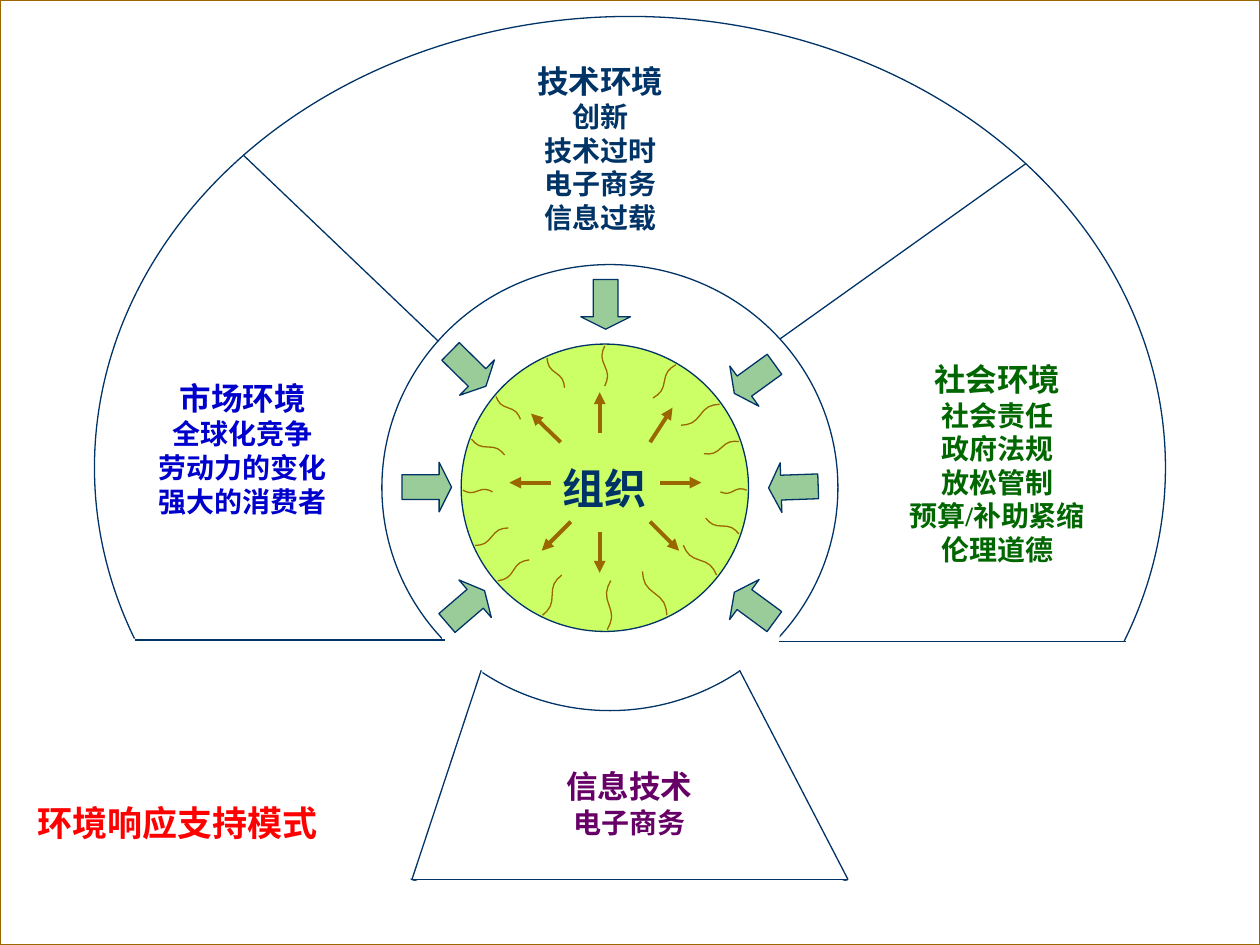
import math

from lxml import etree
from pptx import Presentation
from pptx.dml.color import RGBColor
from pptx.enum import shapes, text
from pptx.oxml.ns import qn
from pptx.util import Pt

THEME = {
    "font": "Times New Roman",
    "navy": "003366", "brown": "996600", "white": "FFFFFF",
    "lime": "CCFF66", "sage": "99CC99",
    "blue": "0000CC", "green": "006600", "purple": "660066", "red": "FF0000",
    "core": 24, "title": 20, "heading": 18, "item": 16,
    "thin": 0.75, "thick": 2.25,
}

# Colour, left, top, heading, items
LABEL_WIDTH = 215.3
ENVIRONMENTS = [
    ("navy", 235.4, 31.7, "技术环境",
     ["创新", "技术过时", "电子商务", "信息过载"]),
    ("blue", 31, 213.1, "市场环境",
     ["全球化竞争", "劳动力的变化", "强大的消费者"]),
    ("green", 462.2, 202.3, "社会环境",
     ["社会责任", "政府法规", "放松管制", "预算/补助紧缩", "伦理道德"]),
    ("purple", 252, 434.9, "信息技术", ["电子商务"]),
]
TITLE = ("环境响应支持模式", (14.4, 454.3, 221, 31.7))
CORE = ("组织", (263.5, 196.6, 164.2, 164.2))
RINGS = [(218.2, 151.2, 260.6, 254.9), (54, 9.4, 612, 515.5)]

# White areas that open the rings at the bottom
GAPS = [
    (252.7, 343.4, 23, 57), (422.6, 349.2, 23, 57), (227.5, 503.3, 278, 22.3),
    (53.3, 365, 181.4, 142), (484.6, 366.5, 181.4, 153.4),
]
# Chains of points
SECTOR_EDGES = [
    [(139, 88.6), (250.6, 195.1)],
    [(445.7, 193.7), (586.1, 93.6)],
    [(275, 383), (235.4, 502.6), (484.6, 502.6), (422.6, 383)],
    [(77, 365.8), (254.2, 365.8)],
    [(445, 366.5), (643.7, 366.5)],
]
# Start x, start y, direction in degrees clockwise from the right
RESPONSE_LENGTH = 23.5
RESPONSES = [
    (320.4, 252.7, 224), (342.7, 247.7, 270), (371.5, 252.7, 303),
    (377.3, 275.8, 0), (371.5, 298.1, 45), (342.7, 303.8, 90),
    (326.2, 298.1, 135), (314.6, 275.8, 180),
]
# Left, top, rotation
PRESSURE_SIZE = 28.35
PRESSURES = [
    (229.7, 264.2, 0), (439.2, 264.2, 178), (331.9, 159.8, 90),
    (253.4, 196.6, 44.5), (416.9, 202.3, 144.1),
    (252, 332.6, 319.3), (416.9, 332.6, 216.3),
]
# Angle on the rim of the core, then the run inwards
CRACKS = [
    (220, 14, 13), (246, 10, 17), (270, 0, 23), (300, -13, 19),
    (324, -22, 12), (200, 19, 9), (179, 17, 1), (156, 19, -10),
    (139, 18, -12), (116, 11, -23), (89, 2, -28), (64, -14, -25),
    (38, -19, -17), (19, -19, -9), (341, -20, 7), (1, -15, 1),
]


def color(name):
    return RGBColor.from_string(THEME[name])


def style(shape, fill=None, line=None):
    shape.shadow.inherit = False
    if fill:
        shape.fill.solid()
        shape.fill.fore_color.rgb = color(fill)
    else:
        shape.fill.background()
    if line:
        shape.line.color.rgb = color(line)
        shape.line.width = Pt(THEME["thin"])
    else:
        shape.line.fill.background()


def add_shape(slide, kind, box, fill=None, line=None):
    shape = slide.shapes.add_shape(kind, *map(Pt, box))
    style(shape, fill, line)
    return shape


def add_line(slide, start, end, line, width, arrow=False):
    connector = slide.shapes.add_connector(
        shapes.MSO_CONNECTOR.STRAIGHT, *map(Pt, (*start, *end)))
    connector.line.color.rgb = color(line)
    connector.line.width = Pt(width)
    if arrow:
        outline = connector.line._get_or_add_ln()
        etree.SubElement(outline, qn("a:tailEnd"), type="triangle")
    etree.SubElement(connector._element.spPr, qn("a:effectLst"))


def move(x, y, angle, distance):
    radians = math.radians(angle)
    return x + distance * math.cos(radians), y + distance * math.sin(radians)


def add_crack(slide, angle, run_x, run_y, steps=8):
    """Draw a slightly wavy line from the rim of the core inwards."""
    left, top, size, _ = CORE[1]
    x, y = move(left + size / 2, top + size / 2, angle, size / 2 - 1)
    vertices = []
    for step in range(1, steps + 1):
        t = step / steps
        wave = 0.07 * math.sin(math.tau * t)
        vertices.append((Pt(x + run_x * t - run_y * wave),
                         Pt(y + run_y * t + run_x * wave)))
    builder = slide.shapes.build_freeform(Pt(x), Pt(y))
    builder.add_line_segments(vertices, close=False)
    style(builder.convert_to_shape(), line="brown")


def write(frame, lines, ink, align):
    """Fill a text frame from (wording, size) pairs."""
    for index, (wording, size) in enumerate(lines):
        paragraph = frame.add_paragraph() if index else frame.paragraphs[0]
        paragraph.text = wording
        paragraph.alignment = align
        paragraph.font.name = THEME["font"]
        paragraph.font.size = Pt(THEME[size])
        paragraph.font.bold = True
        paragraph.font.color.rgb = color(ink)


def add_label(slide, box, lines, ink, align):
    frame = slide.shapes.add_textbox(*map(Pt, box)).text_frame
    frame.word_wrap = True
    frame.auto_size = text.MSO_AUTO_SIZE.SHAPE_TO_FIT_TEXT
    write(frame, lines, ink, align)


def main():
    presentation = Presentation()
    presentation.slide_width, presentation.slide_height = Pt(720), Pt(540)
    slide = presentation.slides.add_slide(presentation.slide_layouts[6])
    kinds, align = shapes.MSO_SHAPE, text.PP_ALIGN

    add_shape(slide, kinds.RECTANGLE, (0, 0, 720, 540), "white", "brown")
    wording, box = CORE
    core = add_shape(slide, kinds.OVAL, box, "lime", "navy")
    core.text_frame.word_wrap = False
    core.text_frame.vertical_anchor = text.MSO_ANCHOR.MIDDLE
    write(core.text_frame, [(wording, "core")], "navy", align.CENTER)
    for ring in RINGS:
        add_shape(slide, kinds.OVAL, ring, line="navy")
    for gap in GAPS:
        add_shape(slide, kinds.RECTANGLE, gap, "white")
    for chain in SECTOR_EDGES:
        for start, end in zip(chain, chain[1:]):
            add_line(slide, start, end, "navy", THEME["thin"])

    for ink, left, top, heading, items in ENVIRONMENTS:
        lines = [(heading, "heading")] + [(item, "item") for item in items]
        height = 1.2 * sum(THEME[size] for _, size in lines) + 7.2
        add_label(slide, (left, top, LABEL_WIDTH, height), lines, ink, align.CENTER)
    wording, box = TITLE
    add_label(slide, box, [(wording, "title")], "red", align.LEFT)

    for left, top, rotation in PRESSURES:
        arrow = add_shape(slide, kinds.RIGHT_ARROW,
                          (left, top, PRESSURE_SIZE, PRESSURE_SIZE), "sage", "navy")
        arrow.adjustments[0], arrow.adjustments[1] = 0.5, 0.25
        arrow.rotation = rotation
    for crack in CRACKS:
        add_crack(slide, *crack)
    for x, y, angle in RESPONSES:
        add_line(slide, (x, y), move(x, y, angle, RESPONSE_LENGTH),
                 "brown", THEME["thick"], arrow=True)
    presentation.save("out.pptx")


if __name__ == "__main__":
    main()
